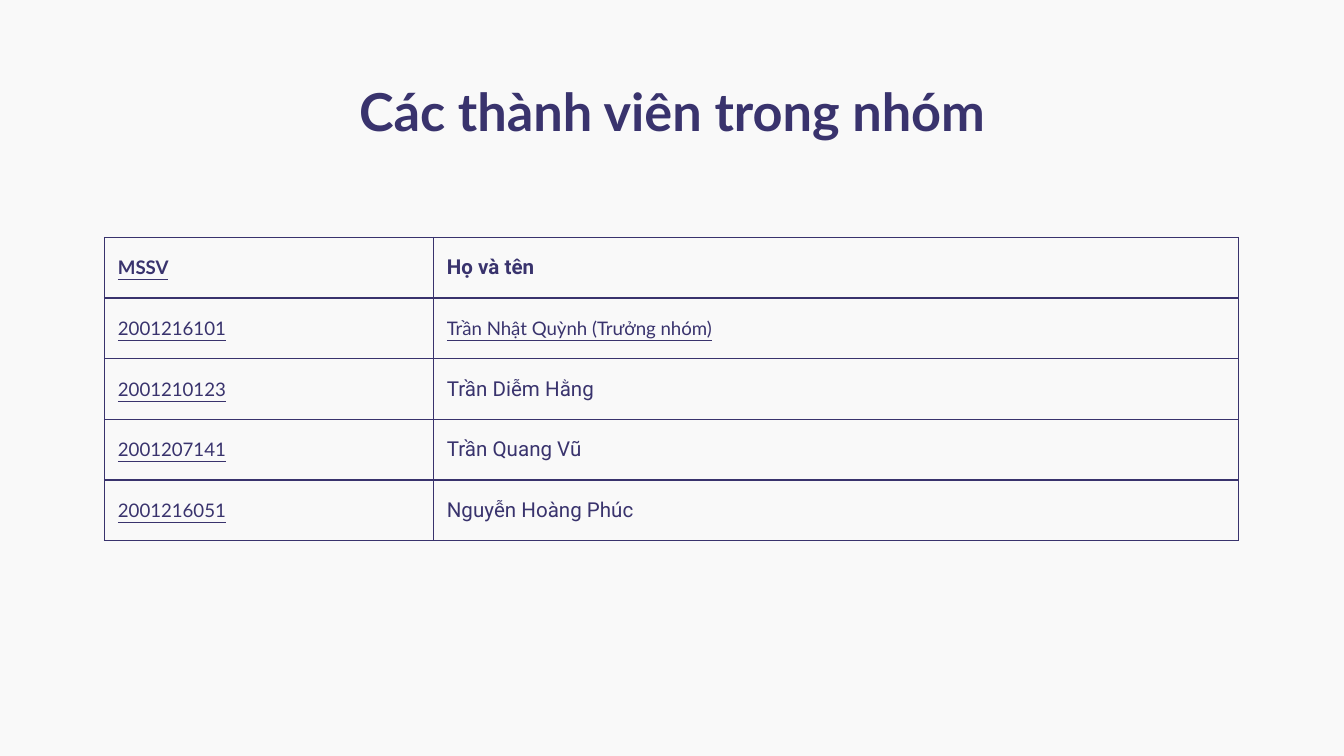
from lxml import etree
from pptx import Presentation
from pptx.dml.color import RGBColor
from pptx.enum.text import MSO_ANCHOR, PP_ALIGN
from pptx.oxml.ns import qn
from pptx.util import Pt

CENTER = PP_ALIGN.CENTER
TOP, MIDDLE = MSO_ANCHOR.TOP, MSO_ANCHOR.MIDDLE

INDIGO = RGBColor(0x39, 0x33, 0x6D)
PAPER = RGBColor(0xF9, 0xF9, 0xF9)
HEADING_FONT, BODY_FONT = "Lato", "Roboto"

BORDER_WIDTH = Pt(0.75)
INSET = Pt(7.2)
ID_SHARE = 0.29  # part of the table width taken by the student numbers

HEADER = ("MSSV", "Họ và tên")
LEADER = ("2001216101", "Trần Nhật Quỳnh (Trưởng nhóm)")
MEMBERS = [
    HEADER,
    LEADER,
    ("2001210123", "Trần Diễm Hằng"),
    ("2001207141", "Trần Quang Vũ"),
    ("2001216051", "Nguyễn Hoàng Phúc"),
]


def add_run(paragraph, text, font_name, size, bold=False, underline=False):
    run = paragraph.add_run()
    run.text = text
    run.font.name = font_name
    run.font.size = Pt(size)
    run.font.bold = bold
    run.font.underline = underline
    run.font.color.rgb = INDIGO


def add_title(slide, left, top, width, height, text):
    frame = slide.shapes.add_textbox(left, top, width, height).text_frame
    frame.word_wrap = True
    frame.vertical_anchor = TOP
    frame.margin_left = frame.margin_right = INSET
    frame.margin_top = frame.margin_bottom = INSET
    paragraph = frame.paragraphs[0]
    paragraph.alignment = CENTER
    add_run(paragraph, text, HEADING_FONT, 28, bold=True)


def set_borders(cell):
    properties = cell._tc.get_or_add_tcPr()
    for side in ("a:lnL", "a:lnR", "a:lnT", "a:lnB"):
        line = etree.SubElement(properties, qn(side), w=str(BORDER_WIDTH))
        fill = etree.SubElement(line, qn("a:solidFill"))
        etree.SubElement(fill, qn("a:srgbClr"), val=str(INDIGO))


def add_member_table(slide, left, top, width, height, members):
    table = slide.shapes.add_table(
        len(members), len(HEADER), left, top, width, height).table
    table.first_row = table.horz_banding = False
    table.columns[0].width = int(width * ID_SHARE)
    table.columns[1].width = width - table.columns[0].width

    for row_index, member in enumerate(members):
        table.rows[row_index].height = height // len(members)
        for column_index, text in enumerate(member):
            cell = table.cell(row_index, column_index)
            cell.vertical_anchor = MIDDLE
            cell.margin_left = cell.margin_right = INSET
            cell.margin_top = cell.margin_bottom = 0
            set_borders(cell)
            if row_index % 2:
                cell.fill.solid()
                cell.fill.fore_color.rgb = PAPER
            else:
                cell.fill.background()

            underlined = column_index == 0 or member == LEADER
            font_name, size = (HEADING_FONT, 10) if underlined else (BODY_FONT, 11)
            add_run(cell.text_frame.paragraphs[0], text, font_name, size,
                    bold=member == HEADER, underline=underlined)


def main():
    presentation = Presentation()
    presentation.slide_width = Pt(720)
    presentation.slide_height = Pt(405)
    slide = presentation.slides.add_slide(presentation.slide_layouts[6])
    slide.background.fill.solid()
    slide.background.fill.fore_color.rgb = PAPER

    add_title(slide, Pt(56.7), Pt(35.4), Pt(606.6), Pt(45),
              "Các thành viên trong nhóm")
    add_member_table(slide, Pt(56), Pt(127.2), Pt(607.5), Pt(162.5), MEMBERS)
    presentation.save("out.pptx")


if __name__ == "__main__":
    main()
